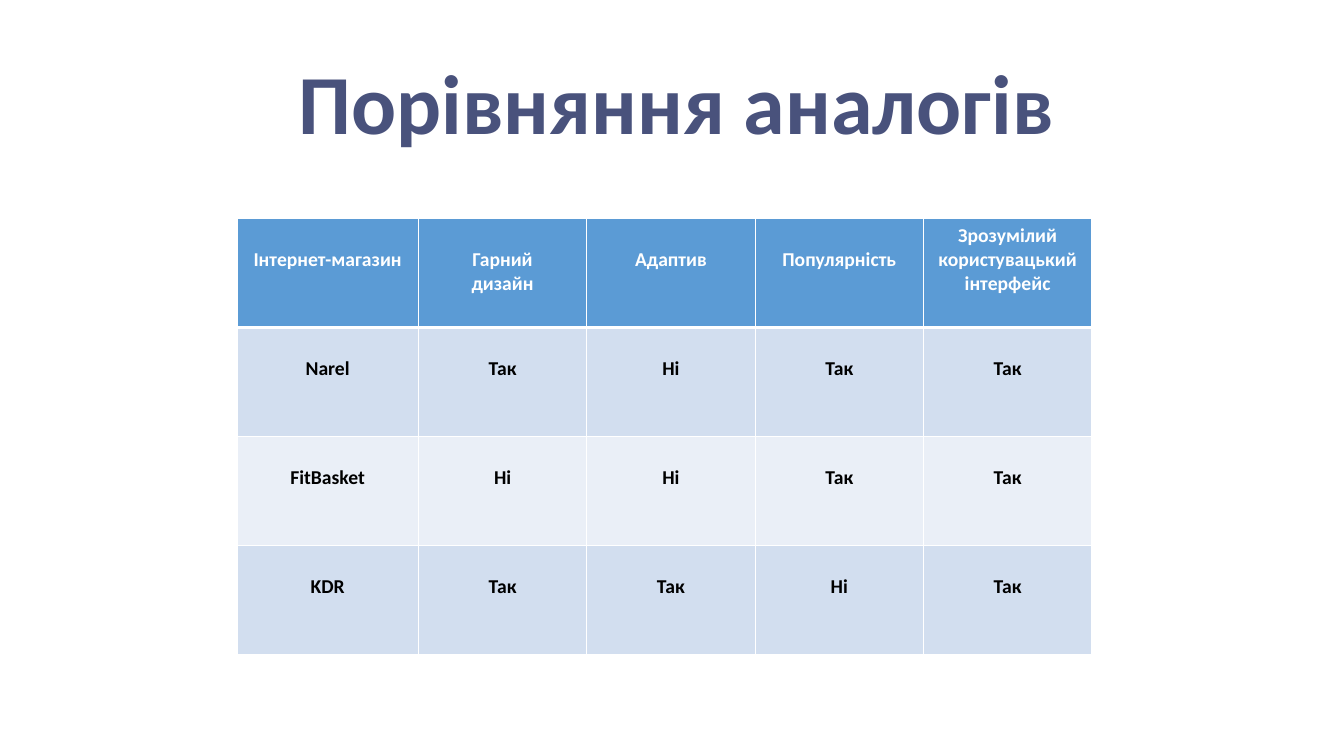
from lxml import etree
from pptx import Presentation
from pptx.dml.color import RGBColor
from pptx.enum.text import MSO_ANCHOR, PP_ALIGN
from pptx.oxml.ns import qn
from pptx.util import Inches, Pt

CENTER = PP_ALIGN.CENTER
MIDDLE = MSO_ANCHOR.MIDDLE
TOP = MSO_ANCHOR.TOP
FONT = "Calibri"
NAVY = RGBColor(0x49, 0x52, 0x7C)
BLUE = RGBColor(0x5B, 0x9B, 0xD5)
PALE = RGBColor(0xD2, 0xDE, 0xEF)
LIGHT = RGBColor(0xEA, 0xEF, 0xF7)
WHITE = RGBColor(0xFF, 0xFF, 0xFF)
BLACK = RGBColor(0, 0, 0)

ROWS = [
    ["Інтернет-магазин", "Гарний\nдизайн", "Адаптив", "Популярність",
     "Зрозумілий користувацький інтерфейс"],
    ["Narel", "Так", "Ні", "Так", "Так"],
    ["FitBasket", "Ні", "Ні", "Так", "Так"],
    ["KDR", "Так", "Так", "Ні", "Так"],
]
WIDTHS = [1.8, 1.67, 1.67, 1.67, 1.67]
HEIGHT = 1.08


def style(frame, size, color):
    for para in frame.paragraphs:
        para.alignment = CENTER
        for run in para.runs:
            font = run.font
            font.name = FONT
            font.size = Pt(size)
            font.bold = True
            font.color.rgb = color


def add_title(slide, text):
    title = slide.shapes.title
    title.left, title.top = Inches(1.46), Inches(0.34)
    title.width, title.height = Inches(10.5), Inches(1.45)
    frame = title.text_frame
    frame.text = text
    frame.vertical_anchor = MIDDLE
    frame.paragraphs[0].line_spacing = 0.9
    style(frame, 60, NAVY)


def add_edges(cell, widths):
    props = cell._tc.get_or_add_tcPr()
    for spot, (side, width) in enumerate(widths.items()):
        line = etree.Element(qn(f"a:ln{side}"), w=str(Pt(width)))
        fill = etree.SubElement(line, qn("a:solidFill"))
        etree.SubElement(fill, qn("a:srgbClr"), val=str(WHITE))
        props.insert(spot, line)


def fill_cell(cell, text, row, tall):
    head = row == 0
    cell.text_frame.text = text
    cell.vertical_anchor = TOP
    cell.margin_top = Inches(0.05 if tall else 0.29)
    style(cell.text_frame, 14, WHITE if head else BLACK)
    cell.fill.solid()
    cell.fill.fore_color.rgb = BLUE if head else (PALE if row % 2 else LIGHT)
    add_edges(cell, {"L": 1, "R": 1, "T": 3 if row == 1 else 1,
                     "B": 3 if head else 1})


def add_grid(slide):
    frame = slide.shapes.add_table(
        len(ROWS), len(WIDTHS), Inches(2.35), Inches(2.17),
        Inches(sum(WIDTHS)), Inches(HEIGHT * len(ROWS)))
    table = frame.table
    for column, width in zip(table.columns, WIDTHS):
        column.width = Inches(width)
    for row, texts in enumerate(ROWS):
        table.rows[row].height = Inches(HEIGHT)
        for col, text in enumerate(texts):
            tall = row == 0 and col == len(WIDTHS) - 1
            fill_cell(table.cell(row, col), text, row, tall)


def main():
    deck = Presentation()
    deck.slide_width, deck.slide_height = Inches(13.33), Inches(7.5)
    slide = deck.slides.add_slide(deck.slide_layouts[5])
    add_title(slide, "Порівняння аналогів")
    add_grid(slide)
    deck.save("out.pptx")


main()
